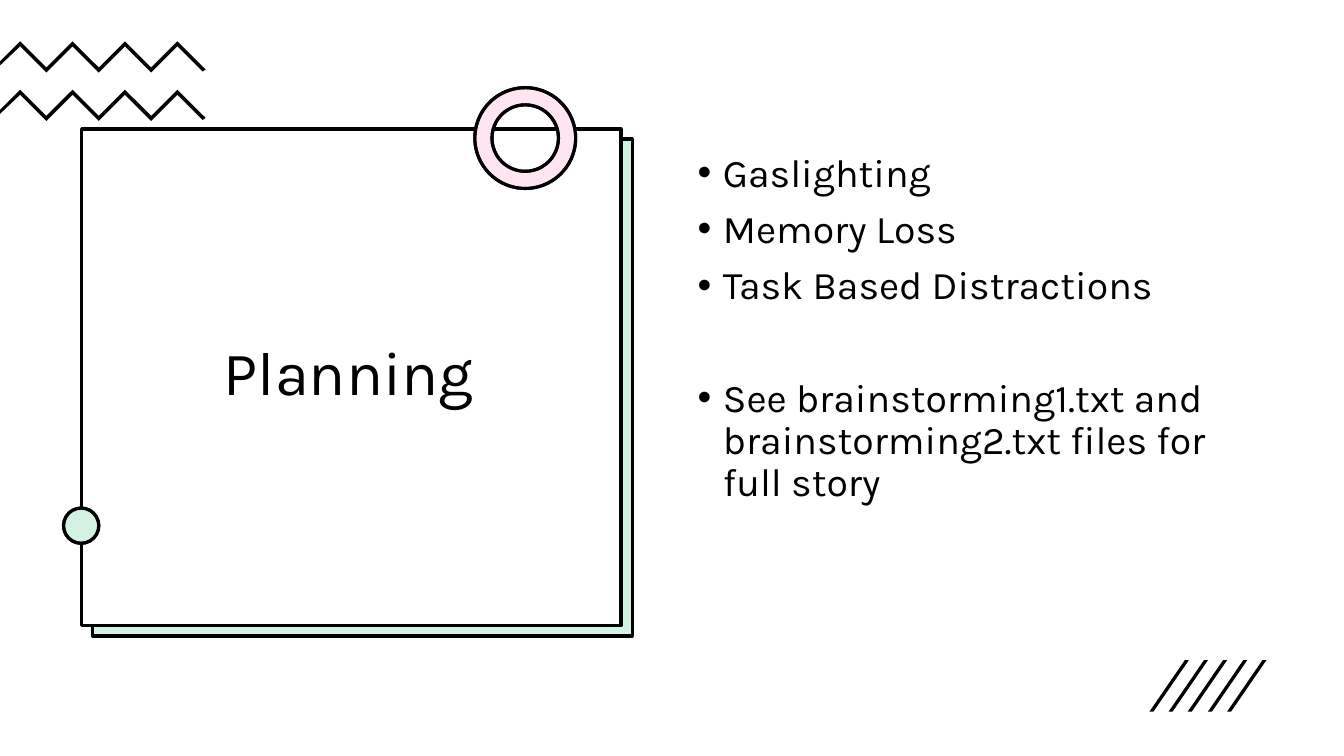
from lxml import etree
from pptx import Presentation
from pptx.dml.color import RGBColor
from pptx.enum.shapes import MSO_SHAPE
from pptx.enum.text import MSO_ANCHOR, MSO_AUTO_SIZE, PP_ALIGN
from pptx.oxml.ns import qn
from pptx.util import Pt

PX = 9144  # EMU per px, 100 px to the inch
BLACK = RGBColor(0x00, 0x00, 0x00)
WHITE = RGBColor(0xFF, 0xFF, 0xFF)
GREEN = RGBColor(0x21, 0xC4, 0x6B)
PINK = RGBColor(0xFF, 0x80, 0xBD)
RECT, OVAL, DONUT = MSO_SHAPE.RECTANGLE, MSO_SHAPE.OVAL, MSO_SHAPE.DONUT

prs = Presentation()
prs.slide_width, prs.slide_height = 1333 * PX, 750 * PX
slide = prs.slides.add_slide(prs.slide_layouts[1])
slide.background.fill.solid()
slide.background.fill.fore_color.rgb = WHITE
title, body = slide.shapes.title, slide.placeholders[1]


def add_outlined(kind, box, fill, line=BLACK, alpha=None):
    """Add a preset shape with a 2.25 pt outline; alpha is the fill opacity in percent."""
    sp = slide.shapes.add_shape(kind, *(v * PX for v in box))
    sp.shadow.inherit = False
    sp.fill.solid()
    sp.fill.fore_color.rgb = fill
    sp.line.color.rgb = line
    sp.line.width = Pt(2.25)
    if kind == DONUT:
        sp.adjustments[0] = 0.17
    if alpha:
        color = sp._element.spPr.find(qn("a:solidFill"))[0]
        etree.SubElement(color, qn("a:alpha"), val=str(alpha * 1000))


def add_outline(shapes, points):
    """Add a closed black polygon through the points."""
    builder = shapes.build_freeform(*points[0], scale=PX)
    builder.add_line_segments(points[1:])
    sp = builder.convert_to_shape()
    sp.shadow.inherit = False
    sp.fill.solid()
    sp.fill.fore_color.rgb = BLACK
    sp.line.fill.background()


# Zigzags
zigzags = slide.shapes.add_group_shape()
crest = [(20 + 26 * i, 26 * (i % 2)) for i in range(7)]
under = [(x, y + 5) for x, y in reversed(crest)]
zigzag = crest + [(204, 28), (201, 30)] + under + [(0, 24), (0, 20)]
for top in (41, 89):
    add_outline(zigzags.shapes, [(x, y + top) for x, y in zigzag])

# Title card with its offset backing
backing = (92, 138, 535, 493)
add_outlined(RECT, backing, WHITE, line=WHITE)
add_outlined(RECT, backing, GREEN, alpha=20)
add_outlined(RECT, (81, 128, 535, 493), WHITE)
slide.shapes._spTree.append(title._element)

# Ring and dot, each a tint over white
for kind, box, tint in ((DONUT, (471, 87, 100, 100), PINK),
                        (OVAL, (63, 504, 35, 35), GREEN)):
    add_outlined(kind, box, WHITE)
    add_outlined(kind, box, tint, alpha=20)
slide.shapes._spTree.append(body._element)

# Title and list
ITEMS = (
    ("Gaslighting", 0),
    ("Memory Loss", 10),
    ("Task Based Distractions", 10),
    ("See brainstorming1.txt and brainstorming2.txt files for full story", 50),
)
for ph, box, anchor, size, align, items in (
    (title, (121, 138, 450, 470), MSO_ANCHOR.MIDDLE, 44, PP_ALIGN.CENTER, (("Planning", 0),)),
    (body, (682, 147, 571, 476), MSO_ANCHOR.TOP, 28, PP_ALIGN.LEFT, ITEMS),
):
    ph.left, ph.top, ph.width, ph.height = (v * PX for v in box)
    tf = ph.text_frame
    tf.word_wrap = True
    tf.auto_size = MSO_AUTO_SIZE.NONE
    tf.vertical_anchor = anchor
    for i, (text, before) in enumerate(items):
        p = tf.paragraphs[0] if i == 0 else tf.add_paragraph()
        p.alignment = align
        p.line_spacing = 0.9
        p.space_before = Pt(before)
        p.space_after = Pt(0)
        if ph is body:
            pPr = p._p.get_or_add_pPr()
            pPr.set("marL", str(25 * PX))
            pPr.set("indent", str(-25 * PX))
            etree.SubElement(pPr, qn("a:buFont"), typeface="Arial")
            etree.SubElement(pPr, qn("a:buChar"), char="•")
        r = p.add_run()
        r.text = text
        r.font.name = "Karla"
        r.font.size = Pt(size)
        r.font.color.rgb = BLACK

# Slanted strokes
strokes = slide.shapes.add_group_shape()
for i in range(5):
    x = 1140 + round(19.25 * i)
    add_outline(strokes.shapes, [(x + 4, 706), (x, 706), (x + 35, 655), (x + 39, 655)])

prs.save("out.pptx")
